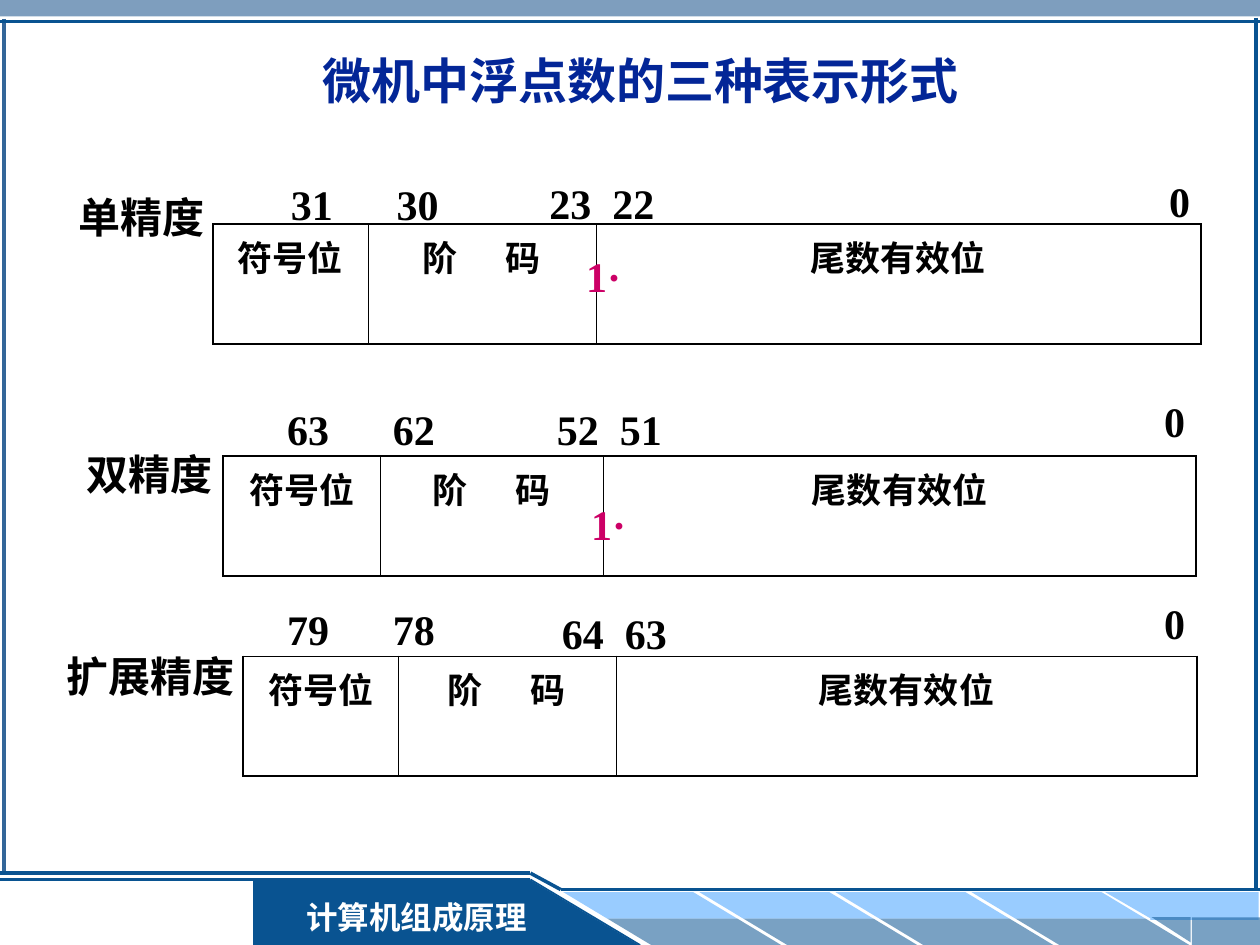
"""Builds a slide on the three floating-point formats of a microcomputer."""
from lxml.etree import SubElement
from pptx import Presentation
from pptx.dml.color import RGBColor
from pptx.enum.shapes import MSO_CONNECTOR, MSO_SHAPE as SHAPE
from pptx.enum.text import MSO_ANCHOR as ANCHOR, PP_ALIGN as ALIGN
from pptx.oxml.ns import qn
from pptx.util import Inches, Pt

COLORS = {
    "band": "336699",
    "navy": "095391",
    "sky": "99CCFF",
    "title": "032697",
    "ink": "000000",
    "hidden_bit": "CC0066",
    "white": "FFFFFF",
}
SERIF, SANS = "Times New Roman", "Arial"
THICK, THIN = 1.08, 0.45
FIELDS = ["符号位", "阶\t码", "尾数有效位"]
EXPONENT_WIDTH = 0.95
FORMATS = [
    {"name": ("单精度", 0.52, 1.47, 1.2), "table": (1.69, 1.78), "widths": (1.23, 1.81, 4.8),
     "high": ("31\t30", 2.21, 1.37), "middle": ("23\t22", 3.65, 1.36),
     "zero": (9.18, 1.34), "hidden": (4.55, 1.94)},
    {"name": ("双精度", 0.59, 3.51, 1.2), "table": (1.77, 3.62), "widths": (1.25, 1.77, 4.7),
     "high": ("63\t62", 2.18, 3.15), "middle": ("52\t51", 3.71, 3.15),
     "zero": (9.14, 3.09), "hidden": (4.59, 3.91)},
    {"name": ("扩展精度", 0.43, 5.11, 1.53), "table": (1.93, 5.21), "widths": (1.23, 1.73, 4.61),
     "high": ("79\t78", 2.18, 4.74), "middle": ("64\t63", 3.75, 4.77),
     "zero": (9.14, 4.69), "hidden": None},
]


def rgb(color):
    return RGBColor.from_string(COLORS[color])


def apply(target, values):
    for name, value in values.items():
        setattr(target, name, value)


def write(frame, text, size, color="ink", font=SERIF, align=ALIGN.CENTER, tab=None, before=0):
    paragraph = frame.paragraphs[0]
    apply(paragraph, {"alignment": align, "space_before": Pt(before)})
    if tab:
        stops = SubElement(paragraph._p.get_or_add_pPr(), qn("a:tabLst"))
        SubElement(stops, qn("a:tab"), pos=str(Inches(tab)), algn="l")
    run = paragraph.add_run()
    apply(run, {"text": text})
    apply(run.font, {"size": Pt(size), "bold": True, "name": font})
    run.font.color.rgb = rgb(color)


def add_label(slide, text, box, size=24, wrap=False, inset=0.1, anchor=ANCHOR.TOP, **style):
    frame = slide.shapes.add_textbox(*map(Inches, box)).text_frame
    apply(frame, {"word_wrap": wrap, "vertical_anchor": anchor, "margin_left": Inches(inset)})
    write(frame, text, size, **style)


def add_block(slide, kind, box, color, alpha=None, flips=(), adjust=None):
    block = slide.shapes.add_shape(kind, *map(Inches, box))
    block.shadow.inherit = False
    block.line.fill.background()
    block.fill.solid()
    block.fill.fore_color.rgb = rgb(color)
    if alpha:
        tint = block.fill._xPr.find(qn("a:solidFill"))[0]
        SubElement(tint, qn("a:alpha"), val=str(alpha * 1000))
    for flip in flips:
        block._element.spPr.xfrm.set(flip, "1")
    if adjust:
        block.adjustments[0] = adjust


def add_rule(slide, start, end, color="navy", width=2):
    rule = slide.shapes.add_connector(MSO_CONNECTOR.STRAIGHT, *map(Inches, start + end))
    rule.line.color.rgb = rgb(color)
    rule.line.width = Pt(width)
    SubElement(rule._element.spPr, qn("a:effectLst"))


def set_borders(cell, widths):
    props = cell._tc.get_or_add_tcPr()
    for side, width in zip("LRTB", widths):
        edge = SubElement(props, qn(f"a:ln{side}"), w=str(Pt(width)))
        fill = SubElement(edge, qn("a:solidFill"))
        SubElement(fill, qn("a:srgbClr"), val=COLORS["ink"])
    cell.fill.background()


def add_layout_table(slide, corner, widths):
    box = (*corner, sum(widths), 0.95)
    table = slide.shapes.add_table(1, len(widths), *map(Inches, box)).table
    apply(table, {"first_row": False, "horz_banding": False})
    last = len(widths) - 1
    for i, (field, width) in enumerate(zip(FIELDS, widths)):
        table.columns[i].width = Inches(width)
        cell = table.cell(0, i)
        set_borders(cell, (THIN if i else THICK, THIN if i < last else THICK, THICK, THICK))
        style = {}
        if "\t" in field:
            cell.margin_left = Inches((width - EXPONENT_WIDTH) / 2)
            style = {"align": ALIGN.LEFT, "tab": 0.66}
        write(cell.text_frame, field, 20, font=SANS, before=5, **style)


def add_format(slide, spec_row):
    add_layout_table(slide, spec_row["table"], spec_row["widths"])
    name, left, top, width = spec_row["name"]
    add_label(slide, name, (left, top, width, 0.5))
    bits, left, top = spec_row["high"]
    add_label(slide, bits, (left, top, 1.41, 0.9), wrap=True, align=ALIGN.LEFT, tab=0.84)
    bits, left, top = spec_row["middle"]
    add_label(slide, bits, (left, top, 2.28, 0.5), wrap=True, inset=0.71,
              align=ALIGN.LEFT, tab=0.5)
    add_label(slide, "0", (*spec_row["zero"], 0.36, 0.5))
    if spec_row["hidden"]:
        add_label(slide, "1·", (*spec_row["hidden"], 0.48, 0.5), color="hidden_bit")


def add_footer(slide):
    both = ("flipH", "flipV")
    add_block(slide, SHAPE.RECTANGLE, (2.01, 6.98, 2.2, 0.52), "navy")
    add_rule(slide, (5.08, 7.5), (4.21, 6.98), width=1)
    add_rule(slide, (4.21, 6.98), (0, 6.98), width=1.5)
    add_rule(slide, (0, 6.93), (4.21, 6.93))
    for i in range(4):
        for left, top, color, alpha in ((4.47, 7.08, "sky", None), (4.82, 7.29, "navy", 54)):
            add_block(slide, SHAPE.PARALLELOGRAM, (left + 1.08 * i, top, 1.38, 0.21),
                      color, alpha, ("flipH",), 1.66)
    add_block(slide, SHAPE.RECTANGLE, (9.13, 7.08, 0.86, 0.22), "sky")
    add_block(slide, SHAPE.RIGHT_TRIANGLE, (8.77, 7.08, 0.38, 0.22), "sky", flips=both)
    add_block(slide, SHAPE.RECTANGLE, (9.46, 7.28, 0.54, 0.22), "navy", 54)
    add_block(slide, SHAPE.RIGHT_TRIANGLE, (9.14, 7.28, 0.31, 0.2), "navy", 54, both)
    add_rule(slide, (4.45, 7.06), (10, 7.06))
    add_block(slide, SHAPE.RIGHT_TRIANGLE, (4.2, 6.98, 0.87, 0.52), "navy")
    add_rule(slide, (4.21, 6.93), (4.45, 7.06))
    add_label(slide, "计算机组成原理", (2.28, 7.08, 2.05, 0.4), 18, True,
              anchor=ANCHOR.MIDDLE, color="white")


def add_frame(slide):
    add_block(slide, SHAPE.RECTANGLE, (0, 0, 10, 0.13), "band", 63)
    add_rule(slide, (0.03, 0.15), (0.03, 6.93), "band")
    add_footer(slide)
    add_rule(slide, (0, 0.17), (10, 0.17))
    add_rule(slide, (9.97, 0.14), (9.97, 7.07))


def main():
    deck = Presentation()
    apply(deck, {"slide_width": Inches(10), "slide_height": Inches(7.5)})
    slide = deck.slides.add_slide(deck.slide_layouts[6])
    add_frame(slide)
    add_label(slide, "微机中浮点数的三种表示形式", (0.35, 0.28, 9.47, 0.71), 28, True,
              anchor=ANCHOR.MIDDLE, color="title", font=SANS)
    for number_format in FORMATS:
        add_format(slide, number_format)
    deck.save("out.pptx")


if __name__ == "__main__":
    main()
